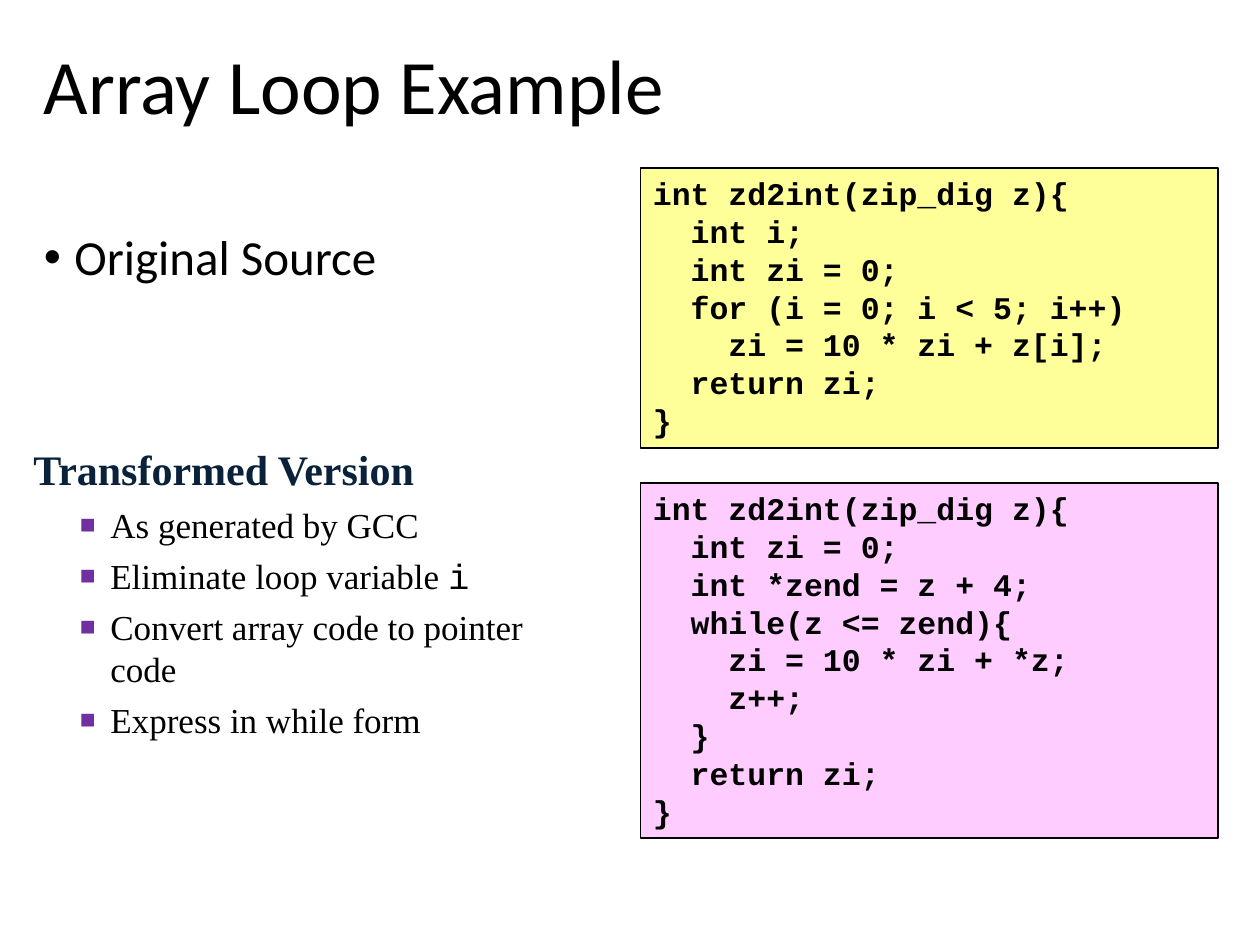
from lxml import etree
from pptx import Presentation
from pptx.dml.color import RGBColor
from pptx.enum.shapes import MSO_SHAPE
from pptx.enum.text import MSO_ANCHOR, PP_ALIGN
from pptx.oxml.ns import qn
from pptx.util import Pt

RECT = MSO_SHAPE.RECTANGLE
TOP = MSO_ANCHOR.TOP
LEFT = PP_ALIGN.LEFT

COLORS = {
    "black": "000000",
    "navy": "09213B",
    "purple": "7030A0",
    "yellow": "FFFF99",
    "pink": "FFCCFF",
}

# Text formats
SANS, SERIF, MONO = "Calibri", "Times New Roman", "Courier New"
TITLE = {"name": SANS, "size": Pt(44), "bold": False}
TOPIC = {"name": SANS, "size": Pt(28), "bold": False}
HEAD = {"name": SERIF, "size": Pt(24), "bold": True}
ITEM = {"name": SERIF, "size": Pt(20), "bold": False}
CODE = {"name": MONO, "size": Pt(18), "bold": True}

SOURCE = """int zd2int(zip_dig z){
  int i;
  int zi = 0;
  for (i = 0; i < 5; i++)
    zi = 10 * zi + z[i];
  return zi;
}"""

RESULT = """int zd2int(zip_dig z){
  int zi = 0;
  int *zend = z + 4;
  while(z <= zend){
    zi = 10 * zi + *z;
    z++;
  }
  return zi;
}"""

# Each item is a list of (text, font) runs
ITEMS = [
    [("As generated by GCC", SERIF)],
    [("Eliminate loop variable ", SERIF), ("i", MONO)],
    [("Convert array code to pointer code", SERIF)],
    [("Express in while form", SERIF)],
]


class Deck:
    """Holds the style and the current slide."""

    def __init__(self, wide, high):
        self.prs = Presentation()
        self.prs.slide_width, self.prs.slide_height = Pt(wide), Pt(high)
        self.slide = self.prs.slides.add_slide(self.prs.slide_layouts[6])

    def color(self, name):
        return RGBColor.from_string(COLORS[name])

    def frame(self, shape):
        frame = shape.text_frame
        frame.word_wrap = True
        frame.vertical_anchor = TOP
        return frame

    def box(self, x, y, w, h):
        return self.frame(
            self.slide.shapes.add_textbox(Pt(x), Pt(y), Pt(w), Pt(h)))

    def style(self, font, look, color="black"):
        for key, value in look.items():
            setattr(font, key, value)
        font.color.rgb = self.color(color)

    def line(self, para, runs, look, color="black"):
        para.alignment = LEFT
        for text, name in runs:
            run = para.add_run()
            run.text = text
            self.style(run.font, {**look, "name": name}, color)

    def indent(self, para, left, hang):
        props = para._p.get_or_add_pPr()
        props.set("marL", str(Pt(left)))
        props.set("indent", str(-Pt(hang)))
        return props

    def bullet(self, para, left, hang, mark, color, scale):
        props = self.indent(para, left, hang)
        tint = etree.SubElement(props, qn("a:buClr"))
        etree.SubElement(tint, qn("a:srgbClr"), val=COLORS[color])
        etree.SubElement(props, qn("a:buSzPct"), val=str(scale * 1000))
        etree.SubElement(props, qn("a:buFont"), typeface="Arial")
        etree.SubElement(props, qn("a:buChar"), char=mark)

    def code(self, x, y, w, h, text, fill):
        shape = self.slide.shapes.add_shape(RECT, Pt(x), Pt(y), Pt(w), Pt(h))
        shape.shadow.inherit = False
        shape.fill.solid()
        shape.fill.fore_color.rgb = self.color(fill)
        shape.line.color.rgb = self.color("black")
        shape.line.width = Pt(1)
        frame = self.frame(shape)
        for i, row in enumerate(text.split("\n")):
            para = frame.add_paragraph() if i else frame.paragraphs[0]
            self.line(para, [(row, MONO)], CODE)


def main():
    deck = Deck(720, 540)

    # Title and first topic
    para = deck.box(18, 18, 560, 44).paragraphs[0]
    deck.line(para, [("Array Loop Example", SANS)], TITLE)
    para = deck.box(18, 126, 294, 54).paragraphs[0]
    deck.bullet(para, 17.5, 17.5, "•", "black", 100)
    deck.line(para, [("Original Source", SANS)], TOPIC)

    # Second topic with its points
    frame = deck.box(12, 252, 312, 217.5)
    para = frame.paragraphs[0]
    deck.indent(para, 17.5, 17.5)
    para.line_spacing = 0.95
    deck.line(para, [("Transformed Version", SERIF)], HEAD, "navy")
    for runs in ITEMS:
        para = frame.add_paragraph()
        para.level = 1
        deck.bullet(para, 44, 17.5, "■", "purple", 75)
        para.space_before = Pt(5)
        deck.line(para, runs, ITEM)

    # Code before and after
    deck.code(366, 96, 330, 160, SOURCE, "yellow")
    deck.code(366, 276, 330, 203, RESULT, "pink")

    deck.prs.save("out.pptx")


if __name__ == "__main__":
    main()
